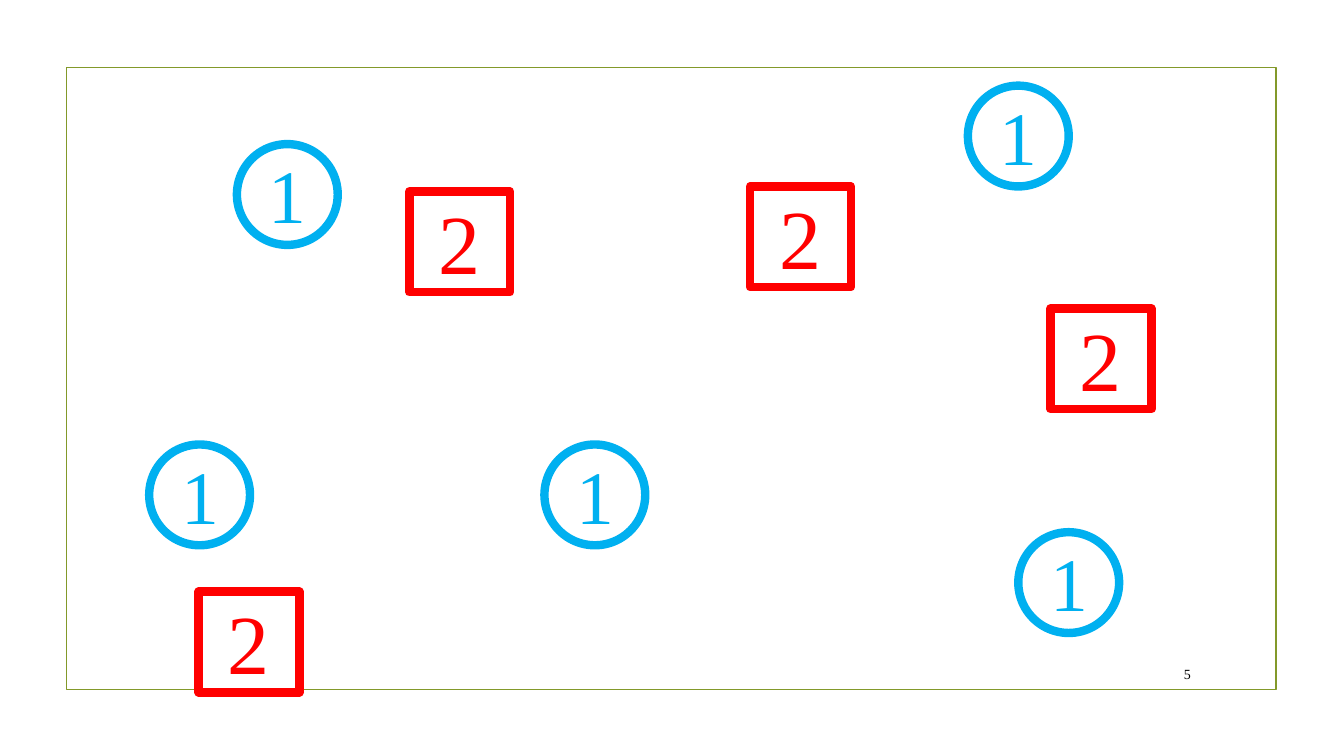
from pptx import Presentation
from pptx.dml.color import RGBColor
from pptx.enum.shapes import MSO_SHAPE
from pptx.enum.text import MSO_ANCHOR, MSO_AUTO_SIZE, PP_ALIGN
from pptx.util import Inches, Pt

OVAL, RECTANGLE = MSO_SHAPE.OVAL, MSO_SHAPE.RECTANGLE
MIDDLE = MSO_ANCHOR.MIDDLE
FIT_TEXT = MSO_AUTO_SIZE.SHAPE_TO_FIT_TEXT
CENTER, RIGHT = PP_ALIGN.CENTER, PP_ALIGN.RIGHT

OLIVE = RGBColor(0x83, 0x99, 0x2A)
BLUE = RGBColor(0x00, 0xB0, 0xF0)
RED = RGBColor(0xFF, 0x00, 0x00)
BLACK = RGBColor(0x00, 0x00, 0x00)

FONT = "Times New Roman"
MARKER_SIZE = 1
CIRCLES = [(2.35, 1.43), (1.48, 4.41), (9.6, 0.85), (10.1, 5.28), (5.4, 4.41)]
SQUARES = [(4.06, 1.9), (7.44, 1.85), (10.42, 3.06), (1.97, 5.87)]


def add_outline(page, kind, box, color, weight):
    shape = page.shapes.add_shape(kind, *map(Inches, box))
    shape.shadow.inherit = False
    shape.fill.background()
    shape.line.color.rgb = color
    shape.line.width = Pt(weight)


def add_label(page, text, box, size, color, align):
    label = page.shapes.add_textbox(*map(Inches, box))
    para = label.text_frame.paragraphs[0]
    para.text = text
    para.alignment = align
    para.font.name = FONT
    para.font.size = Pt(size)
    para.font.color.rgb = color
    return label.text_frame


def add_marker(page, kind, left, top, digit, digit_box, size, color):
    """Draw an outlined shape with its digit; digit_box is relative to the shape."""
    add_outline(page, kind, (left, top, MARKER_SIZE, MARKER_SIZE), color, 6)
    dx, dy, width, height = digit_box
    frame = add_label(page, digit, (left + dx, top + dy, width, height),
                      size, color, CENTER)
    frame.word_wrap = False
    frame.auto_size = FIT_TEXT


def add_page_number(page, number, box):
    frame = add_label(page, number, box, 10, BLACK, RIGHT)
    frame.word_wrap = True
    frame.vertical_anchor = MIDDLE


def main():
    deck = Presentation()
    deck.slide_width = Inches(13.33)
    deck.slide_height = Inches(7.5)
    page = deck.slides.add_slide(deck.slide_layouts[6])

    add_outline(page, RECTANGLE, (0.66, 0.67, 12, 6.17), OLIVE, 1.25)
    for left, top in CIRCLES:
        add_marker(page, OVAL, left, top, "1", (0.21, -0.01, 0.59, 1.01), 54, BLUE)
    for left, top in SQUARES:
        add_marker(page, RECTANGLE, left, top, "2", (0.18, -0.06, 0.63, 1.11), 60, RED)
    add_page_number(page, "5", (11.32, 6.53, 0.59, 0.31))

    deck.save("out.pptx")


if __name__ == "__main__":
    main()
